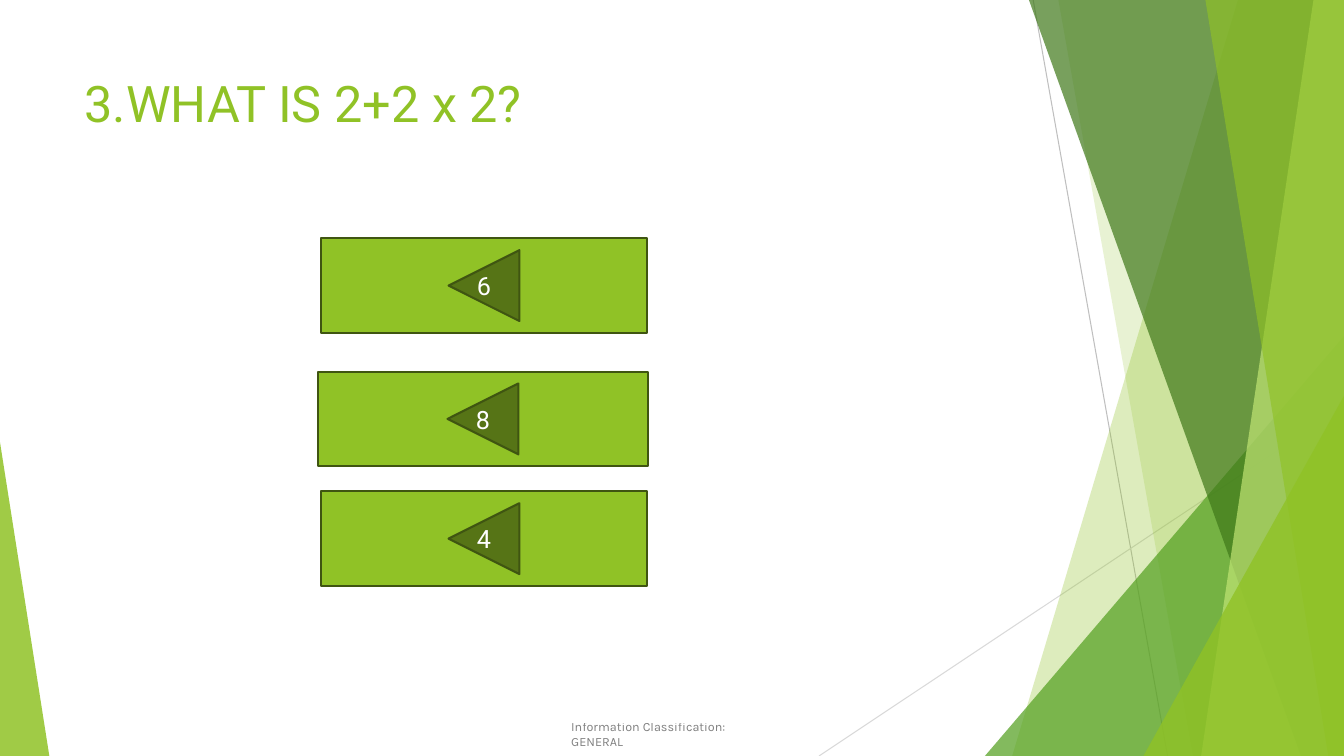
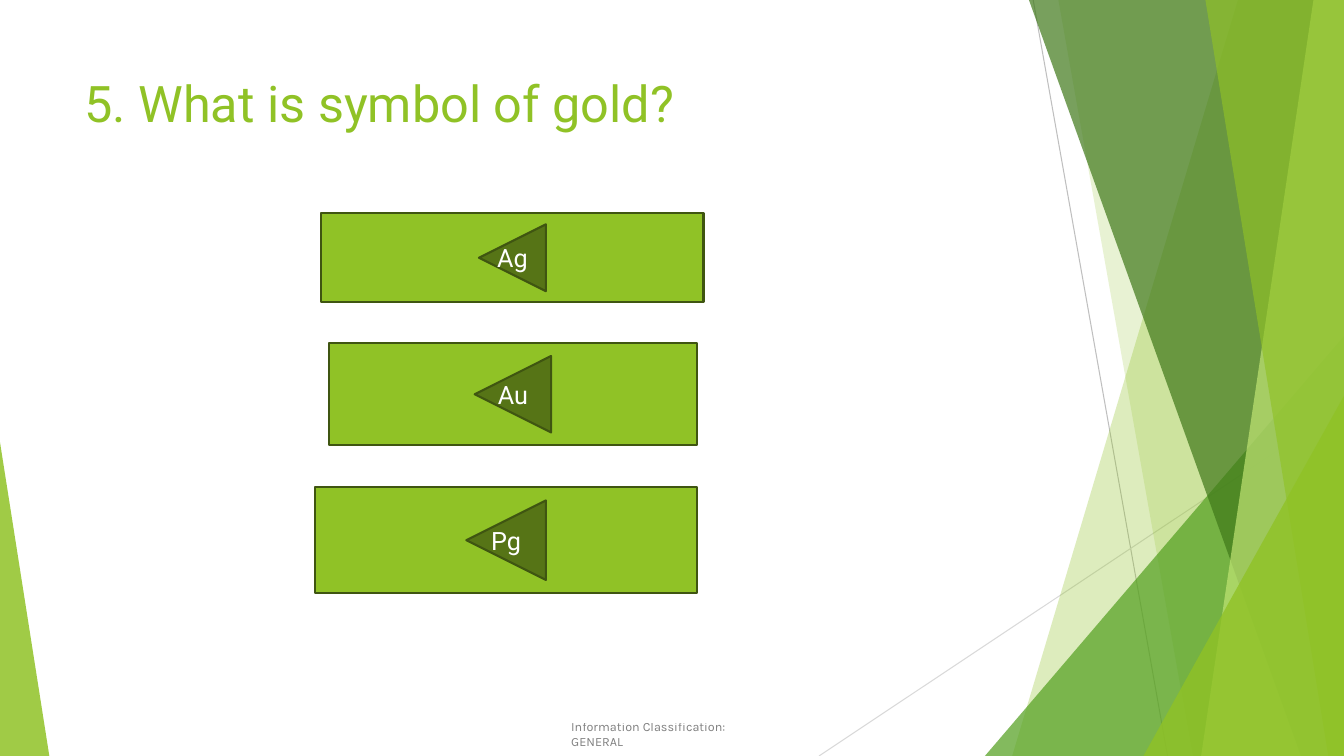
"""Build two quiz slides with a faceted green frame and answer buttons."""

import dataclasses

import lxml.etree
import pptx
import pptx.dml.fill
import pptx.enum.shapes
import pptx.enum.text
import pptx.oxml.ns
import pptx.oxml.xmlchemy
import pptx.shapes.autoshape
import pptx.slide
import pptx.text.text
import pptx.util

EMU_PER_PX = 9525
WIDTH, HEIGHT = 1280, 720
COLORS = {
    "lime": "90C226",
    "green": "54A021",
    "forest": "3F7819",
    "pale": "C0E474",
    "outline": "3F5511",
    "steep_line": "BFBFBF",
    "shallow_line": "D9D9D9",
    "white": "FFFFFF",
    "black": "000000",
}
FOOTER = "Information Classification: GENERAL"


@dataclasses.dataclass(frozen=True)
class Box:
    left: int
    top: int
    width: int
    height: int


@dataclasses.dataclass(frozen=True)
class Line:
    x1: int
    y1: int
    x2: int
    y2: int
    color: str


@dataclasses.dataclass(frozen=True)
class Band:
    top_x: int
    bottom_x: int
    color: str
    opacity: int


@dataclasses.dataclass(frozen=True)
class Triangle:
    left: int
    top: int
    width: int
    apex: int
    color: str
    opacity: int


@dataclasses.dataclass(frozen=True)
class Answer:
    text: str
    box: Box


@dataclasses.dataclass(frozen=True)
class Question:
    title: str
    answers: tuple[Answer, ...]


TITLE_BOX = Box(71, 64, 902, 138)
FOOTER_BOX = Box(544, 685, 194, 14)
LINES = (
    Line(984, 0, 1112, HEIGHT, "steep_line"),
    Line(WIDTH, 387, 780, HEIGHT, "shallow_line"),
)
FACETS = (
    Band(1179, 964, "lime", 30),
    Band(1008, 1136, "lime", 20),
    Triangle(938, 320, 342, 1, "green", 72),
    Band(980, 1239, "forest", 70),
    Band(1251, 1144, "pale", 70),
    Band(1148, 1265, "lime", 65),
    Triangle(1089, 377, 191, 1, "lime", 80),
    Triangle(0, 421, 47, 0, "lime", 85),
)
QUESTIONS = (
    Question("3.WHAT IS 2+2 x 2?", (
        Answer("6", Box(306, 227, 310, 90)),
        Answer("8", Box(303, 354, 314, 90)),
        Answer("4", Box(306, 468, 310, 90)),
    )),
    Question("5. What is symbol of gold?", (
        Answer("Ag", Box(306, 203, 364, 85)),
        Answer("Au", Box(313, 327, 351, 97)),
        Answer("Pg", Box(300, 464, 364, 101)),
    )),
)


def px(value: int) -> pptx.util.Emu:
    return pptx.util.Emu(value * EMU_PER_PX)


def place(box: Box) -> tuple[pptx.util.Emu, ...]:
    return tuple(px(v) for v in dataclasses.astuple(box))


def paint(fill: pptx.dml.fill.FillFormat, color: str) -> None:
    fill.solid()
    fill.fore_color.rgb = pptx.dml.color.RGBColor.from_string(COLORS[color])


def fade(element: pptx.oxml.xmlchemy.BaseOxmlElement, opacity: int) -> None:
    for clr in element.iter(pptx.oxml.ns.qn("a:srgbClr")):
        lxml.etree.SubElement(clr, pptx.oxml.ns.qn("a:alpha"), val=str(opacity * 1000))


def write(tf: pptx.text.text.TextFrame, text: str, font: str, size: int,
          color: str) -> pptx.text.text._Paragraph:
    tf.word_wrap = True
    p = tf.paragraphs[0]
    p.add_run().text = text
    p.font.name = font
    p.font.size = pptx.util.Pt(size)
    paint(p.font.fill, color)
    return p


def add_line(s: pptx.slide.Slide, line: Line) -> None:
    ends = (px(v) for v in (line.x1, line.y1, line.x2, line.y2))
    sp = s.shapes.add_connector(pptx.enum.shapes.MSO_CONNECTOR.STRAIGHT, *ends)
    sp.line.width = pptx.util.Pt(0.75)
    paint(sp.line.fill, line.color)
    lxml.etree.SubElement(sp._element.spPr, pptx.oxml.ns.qn("a:effectLst"))


def add_facet(s: pptx.slide.Slide, facet: Band | Triangle) -> None:
    if isinstance(facet, Band):
        corners = ((WIDTH, 0), (WIDTH, HEIGHT), (facet.bottom_x, HEIGHT))
        outline = s.shapes.build_freeform(px(facet.top_x), px(0))
        outline.add_line_segments([(px(x), px(y)) for x, y in corners], close=True)
        sp = outline.convert_to_shape()
    else:
        box = Box(facet.left, facet.top, facet.width, HEIGHT - facet.top)
        sp = s.shapes.add_shape(
            pptx.enum.shapes.MSO_SHAPE.ISOSCELES_TRIANGLE, *place(box))
        sp.adjustments[0] = facet.apex
    sp.shadow.inherit = False
    sp.line.fill.background()
    paint(sp.fill, facet.color)
    fade(sp._element.spPr, facet.opacity)


def add_footer(s: pptx.slide.Slide) -> None:
    tf = s.shapes.add_textbox(*place(FOOTER_BOX)).text_frame
    tf.margin_left = tf.margin_top = tf.margin_right = tf.margin_bottom = 0
    p = write(tf, FOOTER, "Karla", 9, "black")
    fade(p._p, 50)


def add_answer(s: pptx.slide.Slide, answer: Answer) -> None:
    sp = s.shapes.add_shape(
        pptx.enum.shapes.MSO_SHAPE.ACTION_BUTTON_BACK_OR_PREVIOUS, *place(answer.box))
    sp.shadow.inherit = False
    paint(sp.fill, "lime")
    paint(sp.line.fill, "outline")
    sp.line.width = pptx.util.Pt(1.5)
    sp.text_frame.vertical_anchor = pptx.enum.text.MSO_ANCHOR.MIDDLE
    p = write(sp.text_frame, answer.text, "Roboto", 18, "white")
    p.alignment = pptx.enum.text.PP_ALIGN.CENTER


def add_question(prs: pptx.presentation.Presentation, question: Question) -> None:
    s = prs.slides.add_slide(prs.slide_layouts[6])
    for line in LINES:
        add_line(s, line)
    for facet in FACETS:
        add_facet(s, facet)
    add_footer(s)
    title = s.shapes.add_textbox(*place(TITLE_BOX))
    write(title.text_frame, question.title, "Roboto", 36, "lime")
    for answer in question.answers:
        add_answer(s, answer)


def main() -> None:
    prs = pptx.Presentation()
    prs.slide_width, prs.slide_height = px(WIDTH), px(HEIGHT)
    for question in QUESTIONS:
        add_question(prs, question)
    prs.save("out.pptx")


if __name__ == "__main__":
    main()
